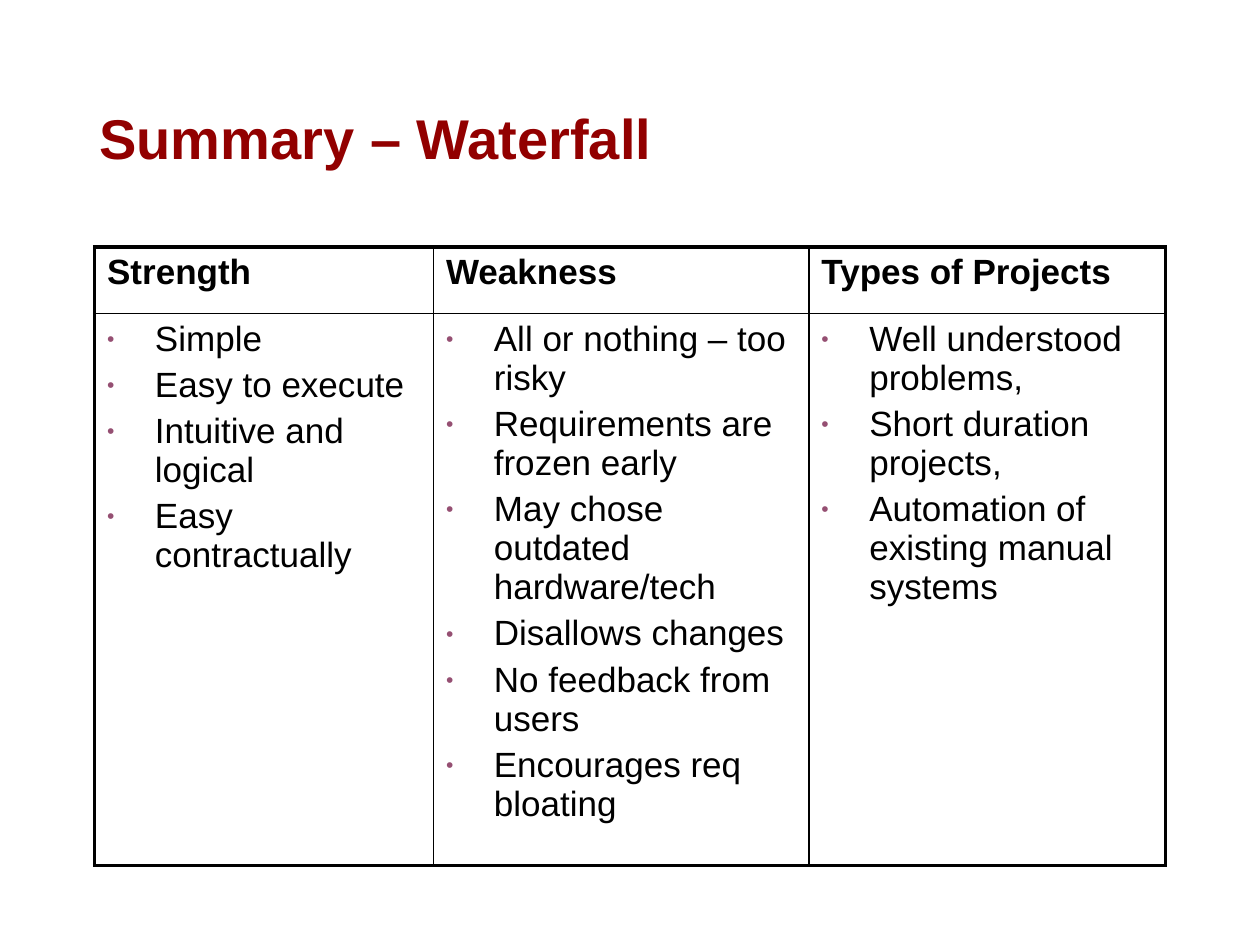
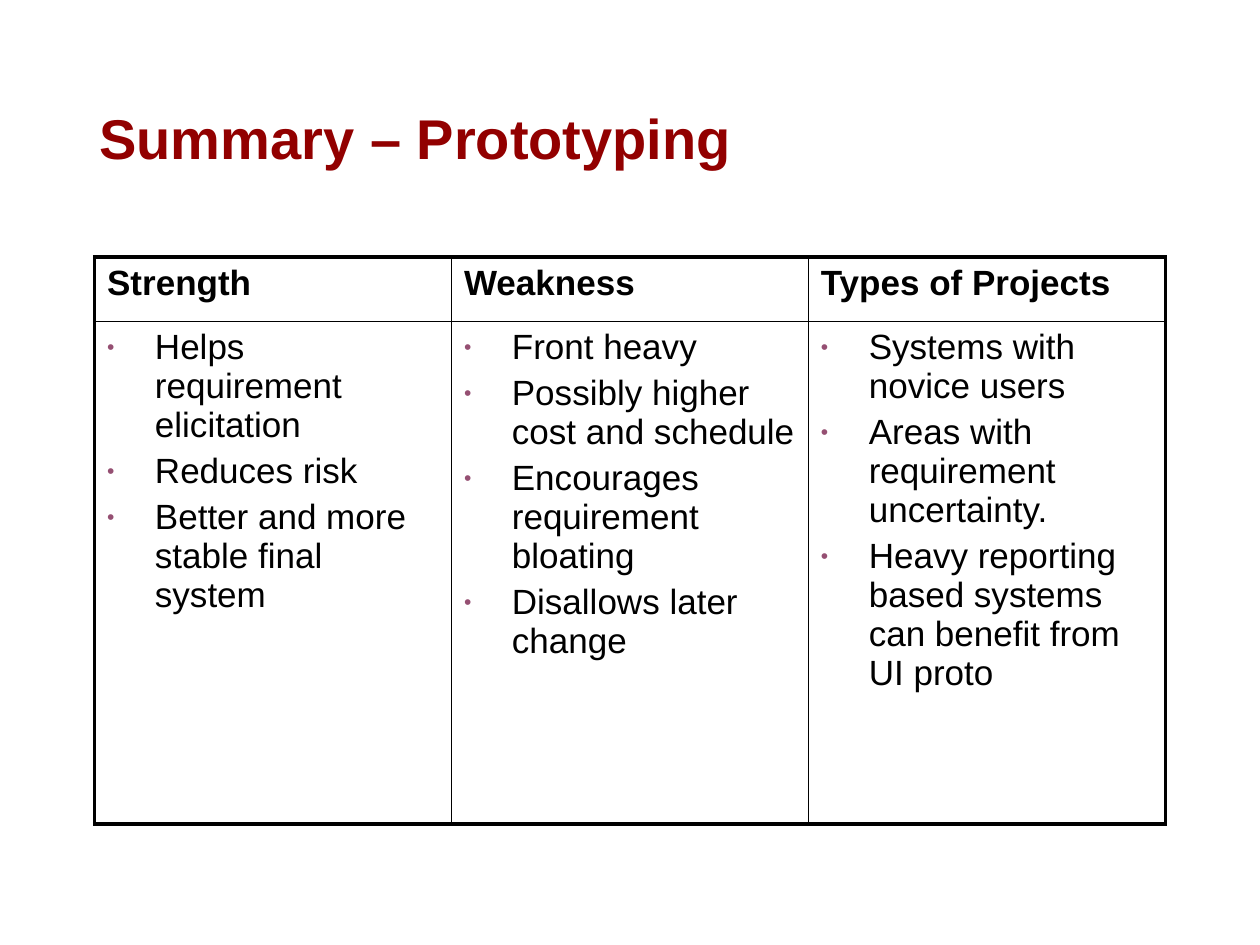
from dataclasses import dataclass

import lxml.etree
import pptx
import pptx.dml.color
import pptx.enum.text
import pptx.oxml.ns
import pptx.util


@dataclass(frozen=True)
class Theme:
    font: str = "Arial"
    title_color: str = "920000"
    text_color: str = "000000"
    bullet_color: str = "954F72"
    title_size: float = 32
    text_size: float = 20
    space_before: float = 4
    bullet_percent: int = 60
    outer_line: float = 2.25
    inner_line: float = 1


@dataclass(frozen=True)
class Topic:
    heading: str
    points: tuple[str, ...]
    columns: float


@dataclass(frozen=True)
class Summary:
    title: str
    top: float
    heading_rows: float
    points_rows: float
    topics: tuple[Topic, ...]


THEME = Theme()
SLIDE_WIDTH = pptx.util.Inches(10)
SLIDE_HEIGHT = pptx.util.Inches(7.5)
GRID = 100
TABLE_LEFT = 7.5
THIRD = 28.33
INDENT = pptx.util.Inches(0.38)

SUMMARIES = (
    Summary("Summary – Waterfall", 26.13, 7.07, 55.73, (
        Topic("Strength", (
            "Simple",
            "Easy to execute",
            "Intuitive and logical",
            "Easy contractually",
        ), 26.9),
        Topic("Weakness", (
            "All or nothing – too risky",
            "Requirements are frozen early",
            "May chose outdated hardware/tech",
            "Disallows changes",
            "No feedback from users",
            "Encourages req bloating",
        ), 29.8),
        Topic("Types of Projects", (
            "Well understood problems,",
            "Short duration projects,",
            "Automation of existing manual systems",
        ), 28.3),
    )),
    Summary("Summary – Prototyping", 27.2, 6.8, 53.2, (
        Topic("Strength", (
            "Helps requirement elicitation",
            "Reduces risk",
            "Better and more stable final system",
        ), THIRD),
        Topic("Weakness", (
            "Front heavy",
            "Possibly higher cost and schedule",
            "Encourages requirement bloating",
            "Disallows later change",
        ), THIRD),
        Topic("Types of Projects", (
            "Systems with novice users",
            "Areas with requirement uncertainty.",
            "Heavy reporting based systems can benefit from UI proto",
        ), THIRD),
    )),
)


def across(columns: float) -> int:
    return round(SLIDE_WIDTH * columns / GRID)


def down(rows: float) -> int:
    return round(SLIDE_HEIGHT * rows / GRID)


def add_element(parent, tag: str, **attributes):
    return lxml.etree.SubElement(parent, pptx.oxml.ns.qn(tag), attributes)


def style_text(paragraph, size: float, color: str, bold: bool) -> None:
    font = paragraph.font
    font.name = THEME.font
    font.size = pptx.util.Pt(size)
    font.bold = bold
    font.color.rgb = pptx.dml.color.RGBColor.from_string(color)


def add_bullet(paragraph) -> None:
    properties = paragraph._p.get_or_add_pPr()
    properties.set("marL", str(INDENT))
    properties.set("indent", str(-INDENT))
    bullet_color = add_element(properties, "a:buClr")
    add_element(bullet_color, "a:srgbClr", val=THEME.bullet_color)
    add_element(properties, "a:buSzPct", val=str(THEME.bullet_percent * 1000))
    add_element(properties, "a:buFont", typeface=THEME.font)
    add_element(properties, "a:buChar", char="•")


def draw_title(slide, title: str) -> None:
    box = slide.shapes.add_textbox(across(6.9), down(5.33), across(86.2), down(19.33))
    frame = box.text_frame
    frame.word_wrap = True
    frame.vertical_anchor = pptx.enum.text.MSO_ANCHOR.MIDDLE
    heading = frame.paragraphs[0]
    heading.text = title
    heading.line_spacing = 0.9
    style_text(heading, THEME.title_size, THEME.title_color, True)


def fill_cell(cell, lines: tuple[str, ...], is_heading: bool) -> None:
    frame = cell.text_frame
    for index, line in enumerate(lines):
        paragraph = frame.add_paragraph() if index else frame.paragraphs[0]
        paragraph.text = line
        if not is_heading:
            add_bullet(paragraph)
        paragraph.space_before = pptx.util.Pt(THEME.space_before if index else 0)
        style_text(paragraph, THEME.text_size, THEME.text_color, is_heading)


def draw_borders(cell, outer_edges: dict[str, bool]) -> None:
    properties = cell._tc.get_or_add_tcPr()
    for edge, is_outer in outer_edges.items():
        width = THEME.outer_line if is_outer else THEME.inner_line
        line = add_element(properties, f"a:ln{edge}", w=str(pptx.util.Pt(width)))
        line_fill = add_element(line, "a:solidFill")
        add_element(line_fill, "a:srgbClr", val=THEME.text_color)
    cell.fill.background()


def draw_comparison(slide, summary: Summary) -> None:
    topics = summary.topics
    row_heights = (summary.heading_rows, summary.points_rows)
    table = slide.shapes.add_table(
        len(row_heights), len(topics),
        across(TABLE_LEFT), down(summary.top),
        across(sum(topic.columns for topic in topics)), down(sum(row_heights)),
    ).table
    table.first_row = False
    table.horz_banding = False
    for row, height in zip(table.rows, row_heights):
        row.height = down(height)
    for column, topic in enumerate(topics):
        table.columns[column].width = across(topic.columns)
        for row, lines in enumerate(((topic.heading,), topic.points)):
            cell = table.cell(row, column)
            fill_cell(cell, lines, row == 0)
            draw_borders(cell, {
                "L": column == 0,
                "R": column == len(topics) - 1,
                "T": row == 0,
                "B": row == len(row_heights) - 1,
            })


def main() -> None:
    deck = pptx.Presentation()
    deck.slide_width = SLIDE_WIDTH
    deck.slide_height = SLIDE_HEIGHT
    for summary in SUMMARIES:
        slide = deck.slides.add_slide(deck.slide_layouts[6])
        draw_title(slide, summary.title)
        draw_comparison(slide, summary)
    deck.save("out.pptx")


if __name__ == "__main__":
    main()
